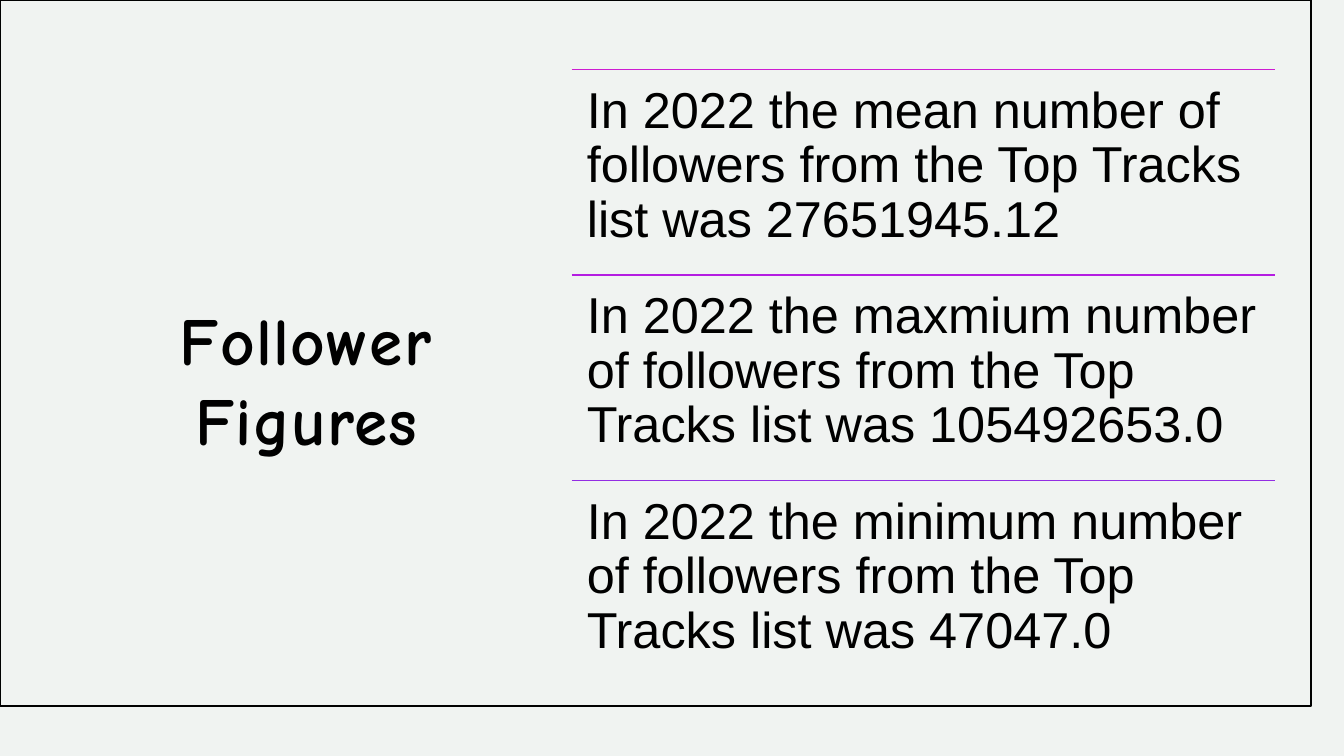
from lxml import etree
from pptx import Presentation
from pptx.dml.color import RGBColor
from pptx.enum.shapes import MSO_CONNECTOR, MSO_SHAPE
from pptx.enum.text import MSO_ANCHOR, MSO_AUTO_SIZE, PP_ALIGN
from pptx.oxml.ns import qn
from pptx.util import Inches, Pt

STRAIGHT = MSO_CONNECTOR.STRAIGHT
RECTANGLE = MSO_SHAPE.RECTANGLE
TOP, MIDDLE = MSO_ANCHOR.TOP, MSO_ANCHOR.MIDDLE
NO_AUTOFIT = MSO_AUTO_SIZE.NONE
LEFT, CENTER = PP_ALIGN.LEFT, PP_ALIGN.CENTER

PAPER = RGBColor(0xF0, 0xF3, 0xF1)
INK = RGBColor(0x00, 0x00, 0x00)
MAGENTA = RGBColor(0xCD, 0x1B, 0xD1)
PURPLE = RGBColor(0xB4, 0x1D, 0xE1)
VIOLET = RGBColor(0x93, 0x2D, 0xE3)

SLIDE_WIDTH, SLIDE_HEIGHT = 13.33, 7.5
FACTS_LEFT, FACTS_TOP = 5.67, 0.69
FACT_WIDTH, FACT_HEIGHT = 6.98, 2.04
CURVE_STEPS = 12

FACTS = [
    ("mean", "27651945.12", MAGENTA),
    ("maxmium", "105492653.0", PURPLE),
    ("minimum", "47047.0", VIOLET),
]

FRAME_START = (0.35, 0.4)
FRAME_SEGMENTS = [
    [(0.48, 0.36), (0.91, 0.38), (1.18, 0.38)],
    [(9.94, 0.44)],
    [(11.37, 0.44)],
    [(12.88, 0.45)],
    [(12.95, 0.78), (12.84, 2.21), (12.92, 3.18)],
    [(12.92, 4.13), (12.99, 5.54), (12.98, 6.16)],
    [(12.97, 6.41), (12.99, 6.83), (12.94, 6.91)],
    [(11.53, 6.87), (10.04, 6.9), (8.58, 6.9)],
    [(0.5, 6.89)],
    [(0.42, 6.9), (0.46, 6.63), (0.44, 6.12)],
    [(0.43, 5.61), (0.44, 4.76), (0.41, 3.82)],
    [(0.39, 3.04), (0.4, 2.09), (0.39, 1.52)],
]


def curve_point(anchors, t):
    weights = ((1 - t) ** 3, 3 * t * (1 - t) ** 2, 3 * t ** 2 * (1 - t), t ** 3)
    return tuple(sum(w * anchor[axis] for w, anchor in zip(weights, anchors))
                 for axis in (0, 1))


def outline_points(start, segments):
    points = []
    for segment in segments:
        if len(segment) == 1:
            points += segment
        else:
            points += [curve_point([start, *segment], step / CURVE_STEPS)
                       for step in range(1, CURVE_STEPS + 1)]
        start = segment[-1]
    return points


def write_text(holder, text, font="Arial", size=36, bold=False, align=LEFT,
               anchor=TOP, inset=0.1, line_spacing=1.0, space_after=0, tracking=0):
    frame = holder.text_frame
    frame.word_wrap = True
    frame.auto_size = NO_AUTOFIT
    frame.vertical_anchor = anchor
    frame.margin_left = frame.margin_right = Inches(inset)
    frame.margin_top = frame.margin_bottom = Inches(min(inset, 0.15))
    paragraph = frame.paragraphs[0]
    paragraph.alignment = align
    paragraph.line_spacing = line_spacing
    paragraph.space_after = Pt(space_after)
    run = paragraph.add_run()
    run.text = text
    run.font.name = font
    run.font.size = Pt(size)
    run.font.bold = bold
    run.font.color.rgb = INK
    if tracking:
        run.font._element.set("spc", str(tracking * 100))


def add_paper(slide):
    slide.background.fill.solid()
    slide.background.fill.fore_color.rgb = PAPER
    paper = slide.shapes.add_shape(RECTANGLE, 0, 0, Inches(SLIDE_WIDTH), Inches(SLIDE_HEIGHT))
    paper.shadow.inherit = False
    paper.fill.solid()
    paper.fill.fore_color.rgb = PAPER
    paper.line.fill.background()


def add_sketched_frame(slide):
    builder = slide.shapes.build_freeform(*FRAME_START, scale=Inches(1))
    builder.add_line_segments(outline_points(FRAME_START, FRAME_SEGMENTS), close=True)
    border = builder.convert_to_shape()
    border.shadow.inherit = False
    border.fill.background()
    border.line.color.rgb = INK
    border.line.width = Pt(1.5)


def place_title(slide, text):
    title = slide.shapes.title
    title.left, title.top = Inches(0.97), Inches(1.07)
    title.width, title.height = Inches(4.14), Inches(5.37)
    write_text(title, text, font="Comic Neue", size=48, bold=True,
               align=CENTER, anchor=MIDDLE, tracking=1)
    title.element.getparent().append(title.element)


def add_fact(group, row, measure, figure, color):
    left, width = Inches(FACTS_LEFT), Inches(FACT_WIDTH)
    top = Inches(FACTS_TOP + row * FACT_HEIGHT)
    rule = group.shapes.add_connector(STRAIGHT, left, top, left + width, top)
    rule.line.color.rgb = color
    rule.line.width = Pt(1)
    etree.SubElement(rule.element.spPr, qn("a:effectLst"))
    fact = group.shapes.add_textbox(left, top, width, Inches(FACT_HEIGHT))
    write_text(fact, f"In 2022 the {measure} number of followers from the Top Tracks list was {figure}",
               inset=0.15, line_spacing=0.9, space_after=12.6)


def main():
    presentation = Presentation()
    presentation.slide_width = Inches(SLIDE_WIDTH)
    presentation.slide_height = Inches(SLIDE_HEIGHT)
    slide = presentation.slides.add_slide(presentation.slide_layouts[5])
    add_paper(slide)
    add_sketched_frame(slide)
    place_title(slide, "Follower Figures")
    facts = slide.shapes.add_group_shape()
    for row, (measure, figure, color) in enumerate(FACTS):
        add_fact(facts, row, measure, figure, color)
    presentation.save("out.pptx")


if __name__ == "__main__":
    main()
